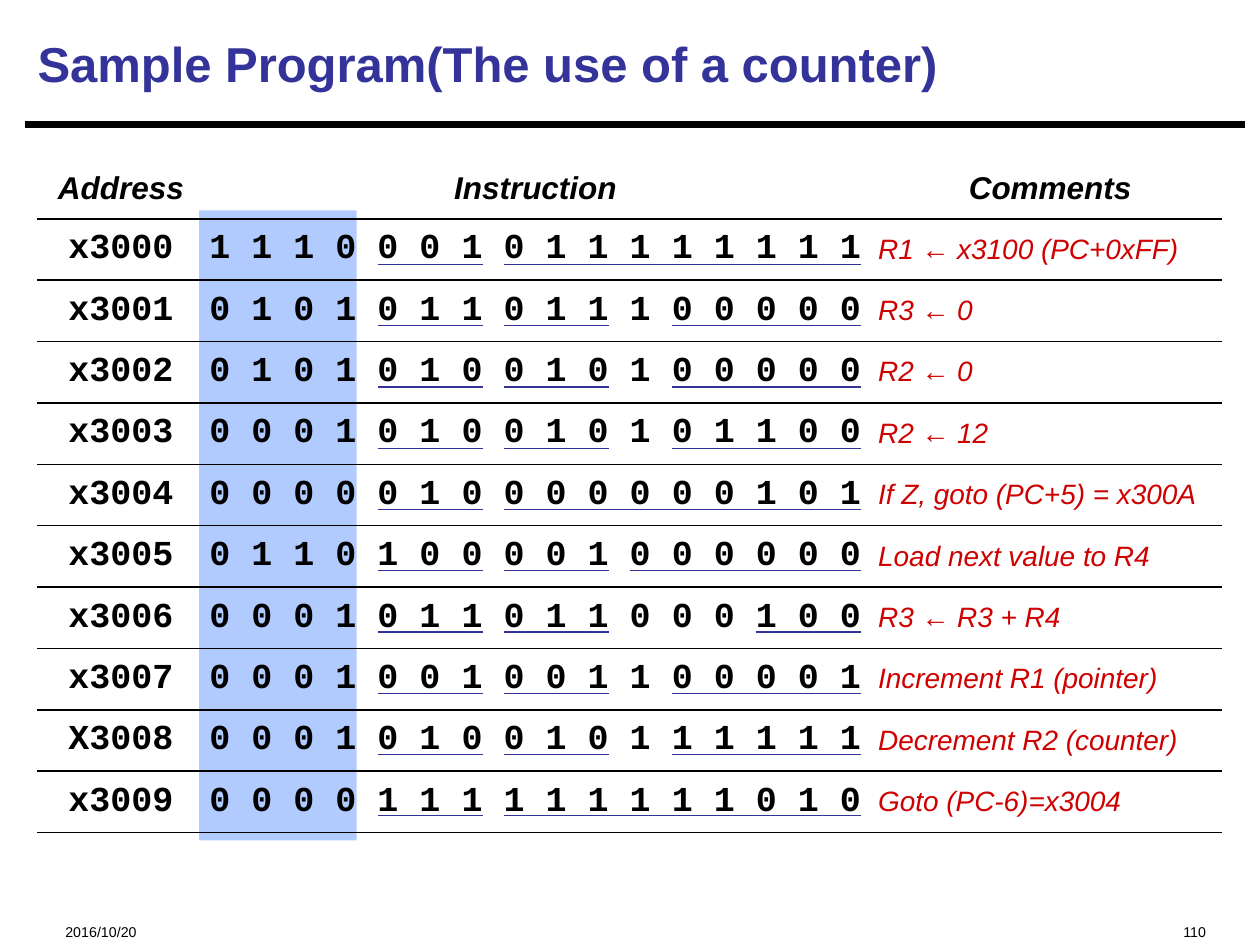
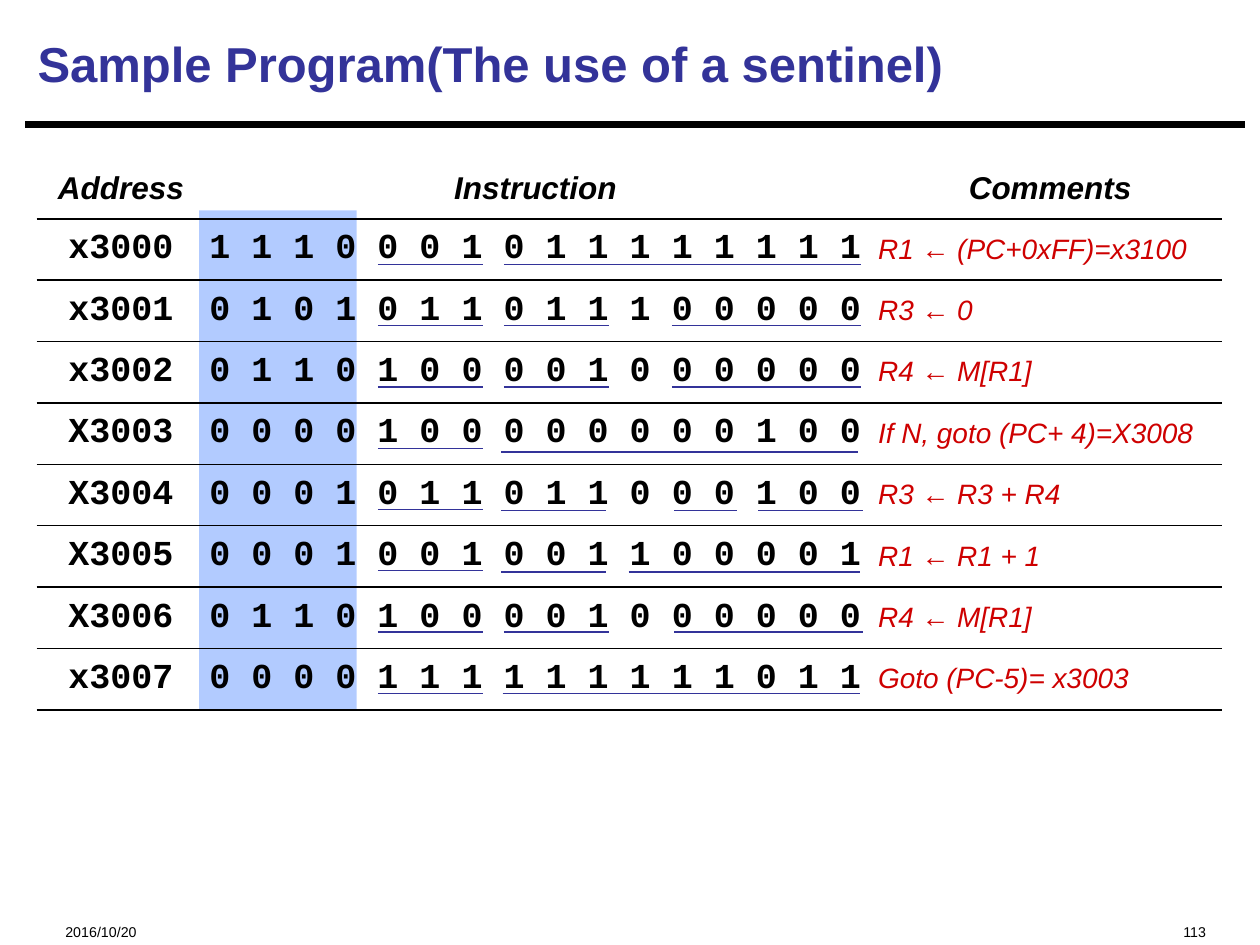
from lxml.etree import SubElement
from pptx import Presentation
from pptx.dml.color import RGBColor
from pptx.enum.shapes import MSO_CONNECTOR, MSO_SHAPE
from pptx.enum.text import MSO_ANCHOR, PP_ALIGN
from pptx.oxml.ns import qn
from pptx.util import Pt

SCALE = 9144
BLACK, NAVY, BLUE, RED = "000000", "333399", "6699FF", "CE0000"
PLAIN_TABLE = "{2D5ABB26-0587-4C30-8999-92F81FD0307C}"

TABLE_LEFT, TABLE_TOP = 29, 125
COLUMN_WIDTHS = (124, 534, 283)
ROW_HEIGHT = 48.73
FIRST_BIT, BIT_STEP, BIT_WIDTH = 166.67, 33.33, 16.67
UNDERLINE_TOP, UNDERLINE_STEP = 210, 48.6
HEADINGS = ("Address", "Instruction", "Comments")
DESTINATION = (4, 6)


def px(length):
    return round(length * SCALE)


def color(hex_string):
    return RGBColor.from_string(hex_string)


def write(frame, text, size=16, font="Arial", fill=BLACK, bold=False,
          italic=False, align=PP_ALIGN.LEFT, baseline=0):
    para = frame.paragraphs[0]
    para.alignment = align
    span = para.add_run()
    span.text = text
    span.font.size = Pt(size)
    span.font.name = font
    span.font.bold = bold
    span.font.italic = italic
    span.font.color.rgb = color(fill)
    if baseline:
        span.font._element.set("baseline", str(baseline))


class Deck:
    def __init__(self):
        self.deck = Presentation()
        self.deck.slide_width = px(1000)
        self.deck.slide_height = px(750)
        self.page = None

    def add_page(self, title, number):
        self.page = self.deck.slides.add_slide(self.deck.slide_layouts[6])
        self.line(20, 99, 988, 99, BLACK, 3.75)
        self.text(42, 715, 250, 27, "2016/10/20", size=14, baseline=-25000)
        self.text(667, 715, 300, 27, number, size=14, baseline=-25000,
                  align=PP_ALIGN.RIGHT)
        self.text(20, 8, 967, 84, title, anchor=MSO_ANCHOR.MIDDLE,
                  size=28, fill=NAVY, bold=True)

    def text(self, left, top, width, height, text, anchor=MSO_ANCHOR.TOP, **style):
        box = self.page.shapes.add_textbox(px(left), px(top), px(width), px(height))
        box.text_frame.word_wrap = True
        box.text_frame.vertical_anchor = anchor
        write(box.text_frame, text, **style)

    def line(self, left, top, right, bottom, fill, weight):
        connector = self.page.shapes.add_connector(
            MSO_CONNECTOR.STRAIGHT, px(left), px(top), px(right), px(bottom))
        connector.line.color.rgb = color(fill)
        connector.line.width = Pt(weight)
        SubElement(connector._element.spPr, qn("a:effectLst"))

    def opcode_band(self, height):
        band = self.page.shapes.add_shape(
            MSO_SHAPE.RECTANGLE, px(158), px(167), px(125), px(height))
        band.shadow.inherit = False
        band.line.fill.background()
        band.fill.solid()
        band.fill.fore_color.rgb = color(BLUE)
        tint = band._element.spPr.find(f"{qn('a:solidFill')}/{qn('a:srgbClr')}")
        SubElement(tint, qn("a:alpha"), val="50000")

    def cell(self, cell, text, inset, **style):
        properties = cell._tc.get_or_add_tcPr()
        for side in ("lnL", "lnR", "lnT"):
            SubElement(SubElement(properties, qn(f"a:{side}"), w="0"), qn("a:noFill"))
        border = SubElement(properties, qn("a:lnB"), w=str(Pt(1)))
        SubElement(SubElement(border, qn("a:solidFill")), qn("a:srgbClr"), val=BLACK)
        cell.fill.background()
        cell.vertical_anchor = MSO_ANCHOR.MIDDLE
        cell.margin_left, cell.margin_right = px(10), 0
        cell.margin_top = cell.margin_bottom = px(inset)
        write(cell.text_frame, text, **style)

    def program_table(self, program):
        count = len(program) + 1
        frame = self.page.shapes.add_table(
            count, 3, px(TABLE_LEFT), px(TABLE_TOP),
            px(sum(COLUMN_WIDTHS)), px(ROW_HEIGHT * count))
        table = frame.table
        table._tbl.tblPr.find(qn("a:tableStyleId")).text = PLAIN_TABLE
        table.first_row = table.horz_banding = False
        for column, width in zip(table.columns, COLUMN_WIDTHS):
            column.width = px(width)
        for row in table.rows:
            row.height = px(ROW_HEIGHT)
        for column, heading in enumerate(HEADINGS):
            self.cell(table.cell(0, column), heading, 5, size=18, bold=True,
                      italic=True, align=PP_ALIGN.CENTER)
        for row, (address, bits, comment, _) in enumerate(program, 1):
            for column, code in enumerate((address, " ".join(bits))):
                self.cell(table.cell(row, column), code, 0, size=20, bold=True,
                          font="Courier New", align=PP_ALIGN.CENTER)
            self.cell(table.cell(row, 2), comment, 0, fill=RED, italic=True)

    def underline(self, row, first, last, shift=0, drop=0):
        left = FIRST_BIT + first * BIT_STEP + shift
        right = FIRST_BIT + last * BIT_STEP + BIT_WIDTH + shift
        top = UNDERLINE_TOP + row * UNDERLINE_STEP + drop
        self.line(left, top, right, top, NAVY, 0.75)

    def program_page(self, title, number, band_height, program):
        self.add_page(title, number)
        self.opcode_band(band_height)
        self.program_table(program)
        for row, (*_, fields) in enumerate(program):
            for field in (DESTINATION, *fields):
                self.underline(row, *field)


WIDE = [(7, 15)]
IMMEDIATE = [(7, 9), (11, 15)]
COUNTER = [
    ("x3000", "1110001011111111", "R1 ← x3100 (PC+0xFF)", WIDE),
    ("x3001", "0101011011100000", "R3 ← 0", IMMEDIATE),
    ("x3002", "0101010010100000", "R2 ← 0", IMMEDIATE),
    ("x3003", "0001010010101100", "R2 ← 12", IMMEDIATE),
    ("x3004", "0000010000000101", "If Z, goto (PC+5) = x300A", WIDE),
    ("x3005", "0110100001000000", "Load next value to R4", [(7, 9), (10, 15)]),
    ("x3006", "0001011011000100", "R3 ← R3 + R4", [(7, 9), (13, 15)]),
    ("x3007", "0001001001100001", "Increment R1 (pointer)", IMMEDIATE),
    ("X3008", "0001010010111111", "Decrement R2 (counter)", IMMEDIATE),
    ("x3009", "0000111111111010", "Goto (PC-6)=x3004", WIDE),
]
SENTINEL = [
    ("x3000", "1110001011111111", "R1 ← (PC+0xFF)=x3100", WIDE),
    ("x3001", "0101011011100000", "R3 ← 0", IMMEDIATE),
    ("x3002", "0110100001000000", "R4 ← M[R1]", IMMEDIATE),
    ("X3003", "0000100000000100", "If N, goto (PC+ 4)=X3008", [(7, 15, -2, 3)]),
    ("X3004", "0001011011000100", "R3 ← R3 + R4",
     [(7, 9, -2, 1), (11, 12, 2, 1), (13, 15, 2, 1)]),
    ("X3005", "0001001001100001", "R1 ← R1 + 1", [(7, 9, -2, 1), (10, 15, -1, 1)]),
    ("X3006", "0110100001000000", "R4 ← M[R1]", [(7, 9), (11, 15, 2)]),
    ("x3007", "0000111111111011", "Goto (PC-5)= x3003", [(7, 15, -1)]),
]


def main():
    slides = Deck()
    slides.program_page("Sample Program(The use of a counter)", "110", 500, COUNTER)
    slides.program_page("Sample Program(The use of a sentinel)", "113", 397, SENTINEL)
    slides.deck.save("out.pptx")


if __name__ == "__main__":
    main()
